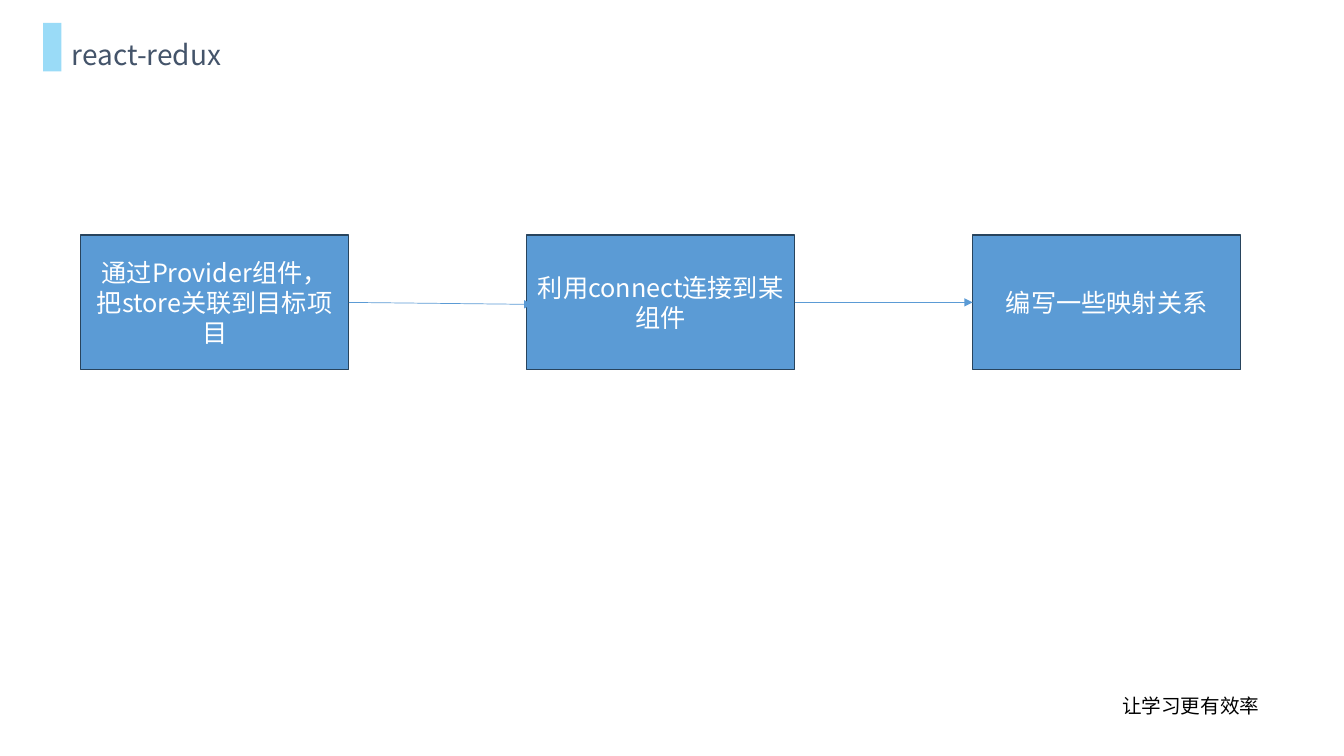
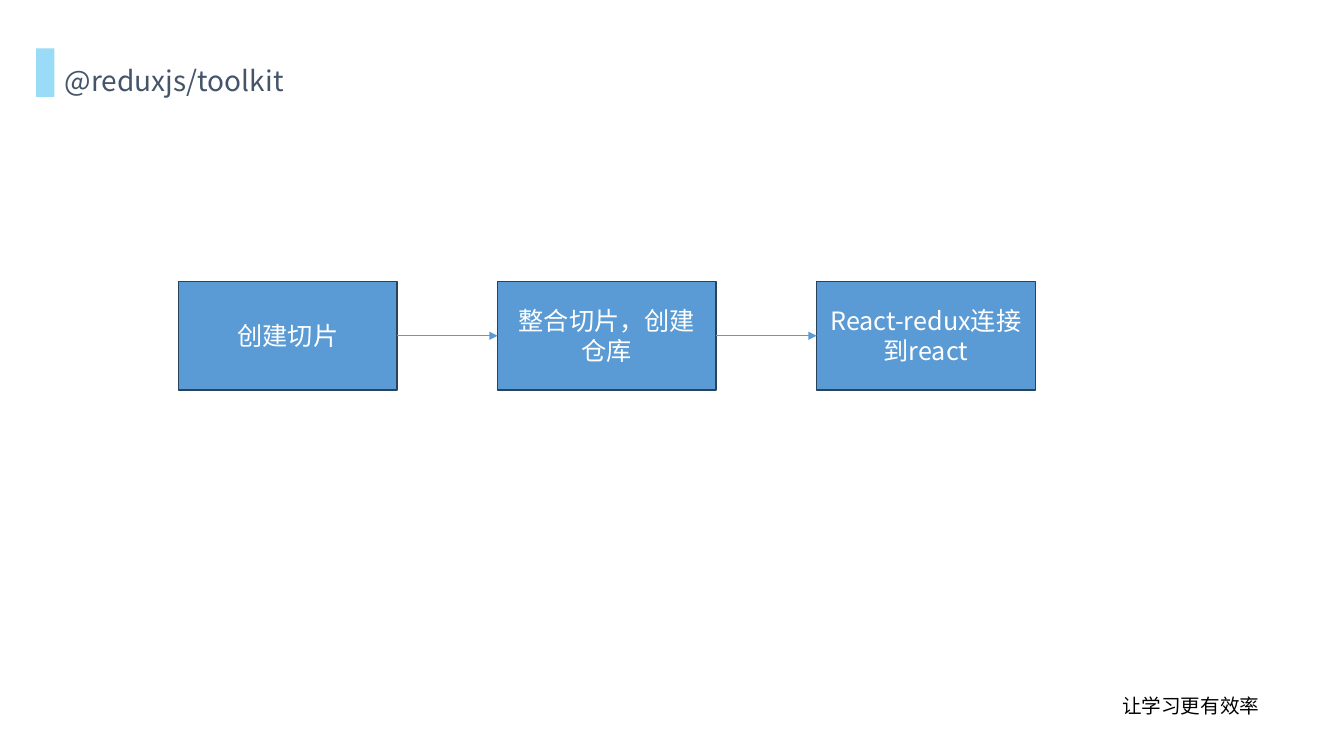
"""Build two slides of three-step flows in one shared style."""
from lxml import etree
from pptx import Presentation
from pptx import util as u
from pptx.dml.color import RGBColor
from pptx.enum import shapes, text
from pptx.oxml import ns

Cm, Pt = u.Cm, u.Pt


class Deck:
    """Hold the style and the current slide."""

    font = "Noto Sans CJK SC"
    hues = {
        "title": "44546A",
        "bar": "9ADBF7",
        "box": "5B9BD5",
        "edge": "28445D",
        "label": "FFFFFF",
        "foot": "000000",
    }

    def __init__(self):
        """Start an empty wide deck."""
        self.prs = Presentation()
        self.prs.slide_width = Cm(33.87)
        self.prs.slide_height = Cm(19.05)
        self.slide = None

    def hue(self, name):
        """Return a named colour."""
        return RGBColor.from_string(self.hues[name])

    def label(self, frame, words, size, hue, align, anchor):
        """Put one styled paragraph into a text frame."""
        frame.text = words
        frame.word_wrap = True
        frame.auto_size = text.MSO_AUTO_SIZE.NONE
        frame.vertical_anchor = anchor
        para = frame.paragraphs[0]
        para.alignment = align
        para.font.size = Pt(size)
        para.font.color.rgb = self.hue(hue)
        para.font.name = self.font
        props = para._p.pPr.find(ns.qn("a:defRPr"))
        etree.SubElement(props, ns.qn("a:ea"), typeface=self.font)
        return para

    def page(self, title, left, top):
        """Add a slide with its footer, title and title bar."""
        self.slide = self.prs.slides.add_slide(self.prs.slide_layouts[5])
        self.foot("让学习更有效率")
        self.title(title, left, top - 0.18)
        self.rect(left, top, 0.46, 1.22, "bar")

    def foot(self, words):
        """Add the footer line."""
        box = self.slide.shapes.add_textbox(Cm(26.51), Cm(17.37), Cm(7), Cm(0.86))
        self.label(box.text_frame, words, 14, "foot",
                   text.PP_ALIGN.CENTER, text.MSO_ANCHOR.TOP)

    def title(self, words, left, top):
        """Move and fill the title placeholder."""
        box = self.slide.shapes.title
        box.left, box.top = Cm(left), Cm(top)
        box.width, box.height = Cm(25), Cm(1.4)
        para = self.label(box.text_frame, words, 20, "title",
                          text.PP_ALIGN.LEFT, text.MSO_ANCHOR.TOP)
        para.line_spacing = 1.5
        box.text_frame.margin_left = Cm(0.72)

    def rect(self, left, top, width, height, hue):
        """Add a plain filled rectangle."""
        box = self.slide.shapes.add_shape(
            shapes.MSO_SHAPE.RECTANGLE, Cm(left), Cm(top), Cm(width), Cm(height))
        box.shadow.inherit = False
        box.fill.solid()
        box.fill.fore_color.rgb = self.hue(hue)
        box.line.fill.background()
        return box

    def step(self, words, left, top, width, height):
        """Add a labelled, outlined box."""
        box = self.rect(left, top, width, height, "box")
        box.line.color.rgb = self.hue("edge")
        box.line.width = Pt(1)
        self.label(box.text_frame, words, 18, "label",
                   text.PP_ALIGN.CENTER, text.MSO_ANCHOR.MIDDLE)

    def arrow(self, x1, y1, x2, y2):
        """Add a thin line with an arrowhead at its end."""
        line = self.slide.shapes.add_connector(
            shapes.MSO_CONNECTOR.STRAIGHT, Cm(x1), Cm(y1), Cm(x2), Cm(y2))
        line.line.color.rgb = self.hue("box")
        line.line.width = Pt(0.5)
        props = line._element.spPr
        etree.SubElement(props.find(ns.qn("a:ln")), ns.qn("a:tailEnd"), type="triangle")
        etree.SubElement(props, ns.qn("a:effectLst"))

    def flow(self, steps, left, top, width, height, pitch, slips):
        """Add a row of boxes and join each to the next."""
        for i, words in enumerate(steps):
            self.step(words, left + i * pitch, top, width, height)
        mid = top + height / 2
        for i, (dx, dy) in enumerate(slips):
            start = left + i * pitch
            self.arrow(start + width, mid, start + pitch + dx, mid + dy)


def main():
    """Build and save the deck."""
    deck = Deck()
    deck.page("react-redux", 1.09, 0.58)
    deck.flow(["通过Provider组件，把store关联到目标项目",
               "利用connect连接到某组件",
               "编写一些映射关系"],
              2.03, 5.92, 6.76, 3.4, 11.24, [(0.15, 0.05), (0, 0)])
    deck.page("@reduxjs/toolkit", 0.91, 1.22)
    deck.flow(["创建切片", "整合切片，创建仓库", "React-redux连接到react"],
              4.5, 7.09, 5.51, 2.74, 8.04, [(0, 0), (0, 0)])
    deck.prs.save("out.pptx")


if __name__ == "__main__":
    main()
